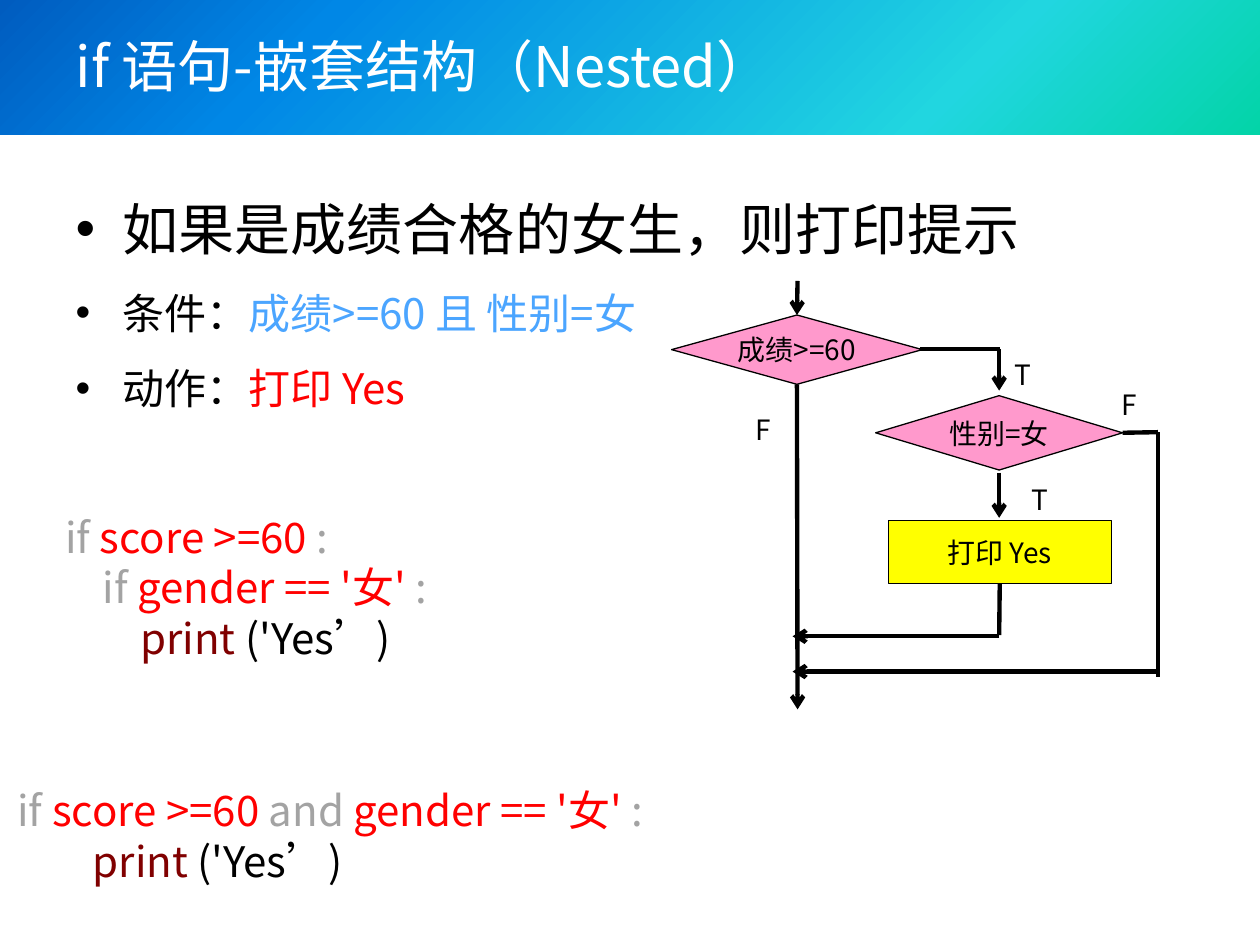
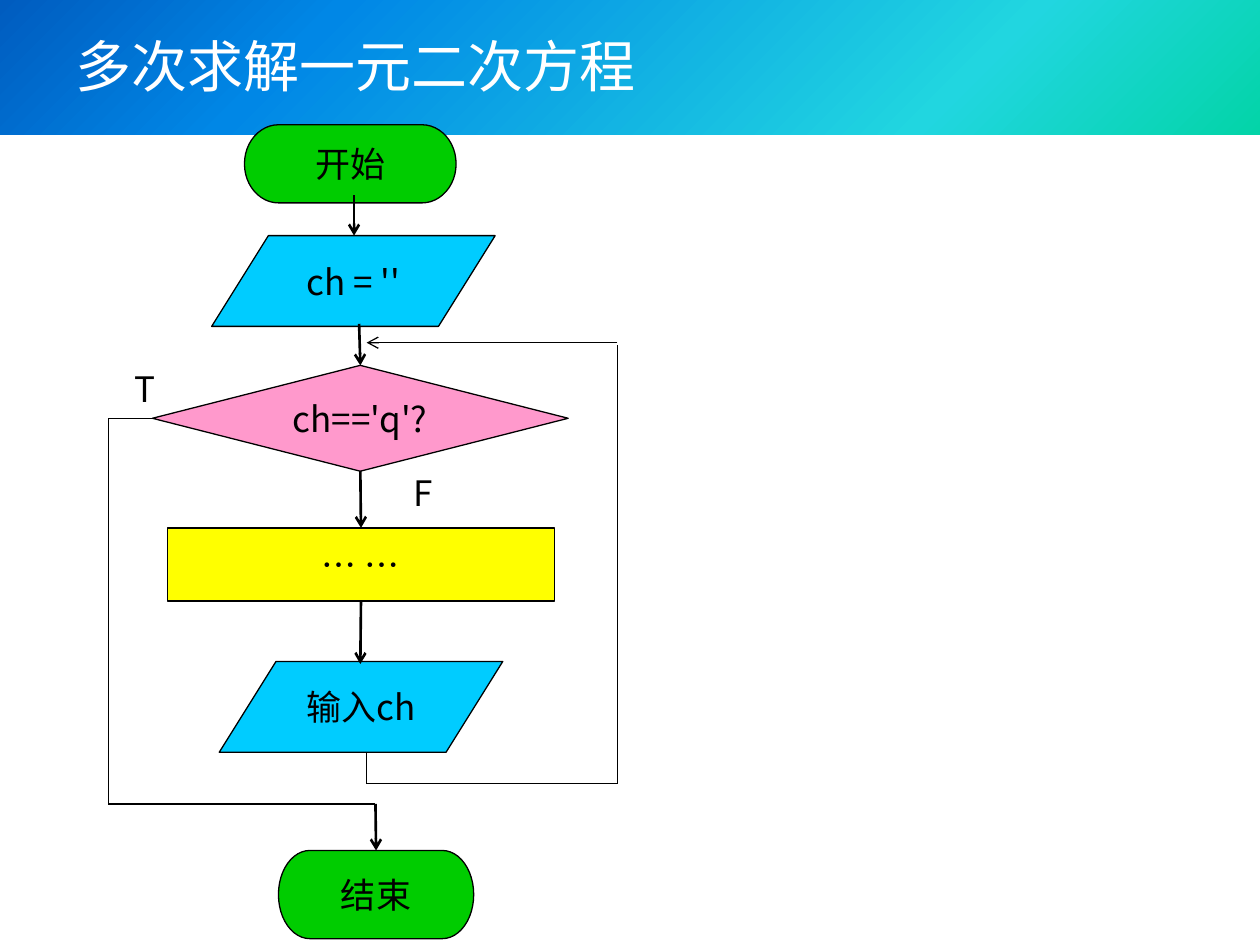
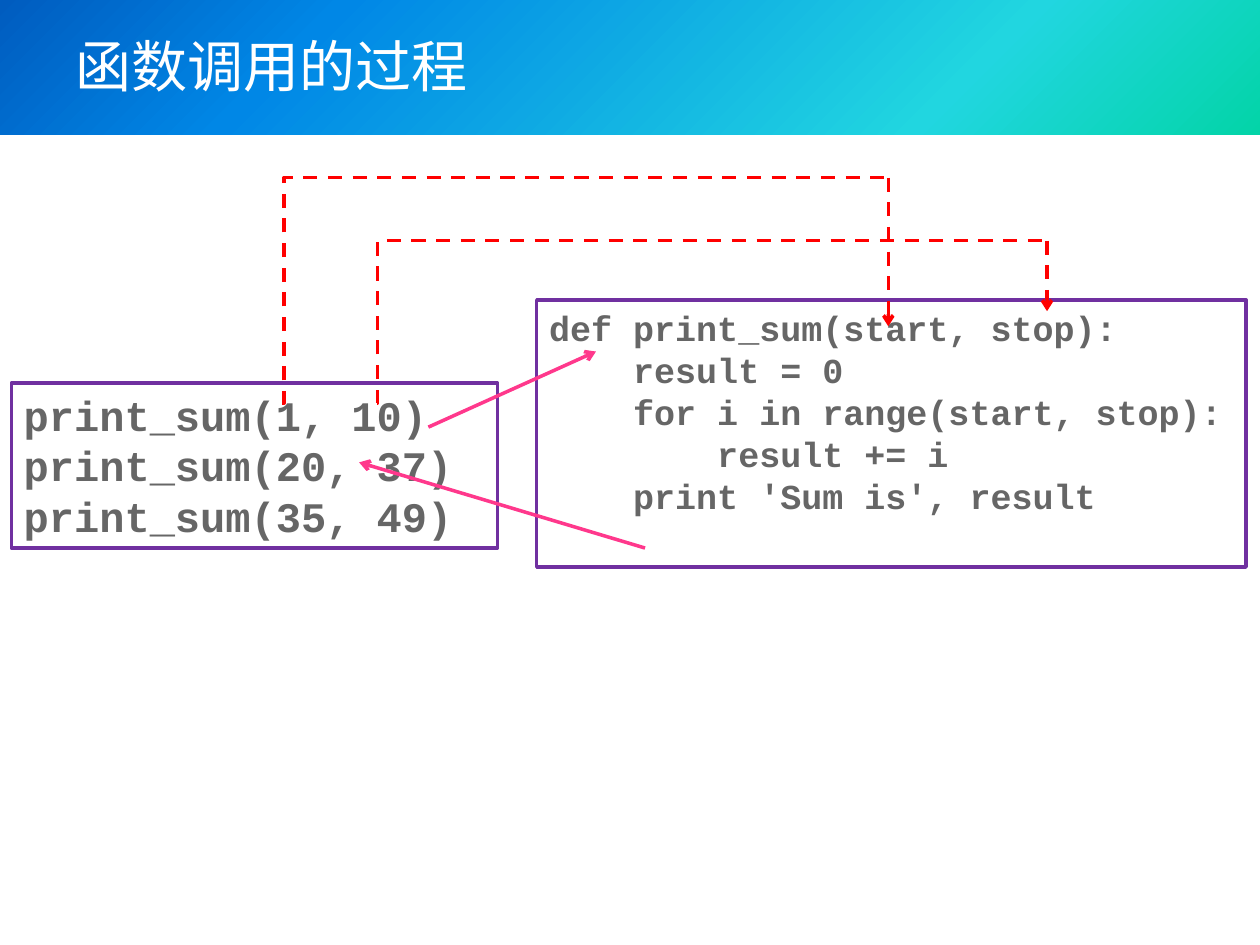
"""Build three slides on nested conditions, loops and function calls."""
from lxml.etree import SubElement
from pptx import Presentation
from pptx.dml.color import RGBColor
from pptx.enum.dml import MSO_LINE
from pptx.enum.shapes import MSO_CONNECTOR as Wire, MSO_SHAPE as Kind
from pptx.enum.text import MSO_ANCHOR as Anchor, MSO_AUTO_SIZE as Auto, PP_ALIGN as Align
from pptx.oxml import parse_xml
from pptx.oxml.ns import nsdecls, qn
from pptx.util import Inches, Pt

SANS, MONO = "Noto Sans CJK SC", "Courier New"
BLACK, WHITE, RED, GREY, BROWN = "000000", "FFFFFF", "FF0000", "A3A3A3", "800000"
PINK, YELLOW, GREEN, CYAN = "FF99CC", "FFFF00", "00CC00", "00CCFF"
BLUE, PURPLE, ROSE, SLATE = "4BA5FF", "7030A0", "FF388C", "666666"
STOPS = [(0, "03D4A8"), (25, "21D6E0"), (75, "0087E6"), (100, "005CBF")]


def write(shape, text, size=24, color=BLACK, face=SANS, bold=False, align=Align.LEFT,
          anchor=Anchor.TOP, wrap=True, inset=(0.1, 0.05, 0.1, 0.05), space=1.0):
    frame = shape.text_frame
    frame.auto_size, frame.word_wrap, frame.vertical_anchor = Auto.NONE, wrap, anchor
    (frame.margin_left, frame.margin_top,
     frame.margin_right, frame.margin_bottom) = map(Inches, inset)
    rows = text
    if isinstance(text, str):
        rows = [[(row, color)] for row in text.split("\n")]
    for i, row in enumerate(rows):
        para = frame.add_paragraph() if i else frame.paragraphs[0]
        para.alignment, para.line_spacing, para.space_before = align, space, Pt(0)
        for words, tint in row:
            run = para.add_run()
            run.text = words
            font = run.font
            font.size, font.bold, font.name = Pt(size), bold, face
            font.color.rgb = RGBColor.from_string(tint)
            SubElement(run._r.get_or_add_rPr(), qn("a:ea"), typeface=face)


def link(slide, start, end, width, color=BLACK, tail=False, dash=False,
         begin=None, stop=None, bend=None):
    kind = Wire.STRAIGHT if bend is None else Wire.ELBOW
    line = slide.shapes.add_connector(kind, *map(Inches, start + end))
    if begin:
        line.begin_connect(*begin)
    if stop:
        line.end_connect(*stop)
    line.line.color.rgb = RGBColor.from_string(color)
    line.line.width = Pt(width)
    if dash:
        line.line.dash_style = MSO_LINE.DASH
    props = line._element.spPr
    if tail:
        SubElement(props.find(qn("a:ln")), qn("a:tailEnd"), type="arrow")
    if bend is not None:
        SubElement(props.find(".//" + qn("a:avLst")), qn("a:gd"),
                   name="adj1", fmla=f"val {bend}")
    SubElement(props, qn("a:effectLst"))


prs = Presentation()
prs.slide_width, prs.slide_height = Inches(10), Inches(7.5)
titles = [(1, "if 语句-嵌套结构（Nested）"), (5, "多次求解一元二次方程"), (5, "函数调用的过程")]
for layout, title in titles:
    slide = prs.slides.add_slide(prs.slide_layouts[layout])
    head = slide.shapes.title
    head.left, head.top, head.width, head.height = map(Inches, (0.5, 0.13, 9, 0.77))
    write(head, title, size=32, color=WHITE, anchor=Anchor.MIDDLE)
nest, loop, call = prs.slides

band = nest.shapes.add_shape(Kind.RECTANGLE, 0, 0, prs.slide_width, Inches(1.07))
band.shadow.inherit = False
band.line.fill.background()
stops = "".join(f'<a:gs pos="{pos * 1000}"><a:srgbClr val="{tint}"/></a:gs>'
                for pos, tint in STOPS)
band._element.spPr.find(qn("a:prstGeom")).addnext(parse_xml(
    f'<a:gradFill {nsdecls("a")} rotWithShape="1"><a:gsLst>{stops}</a:gsLst>'
    '<a:path path="circle"><a:fillToRect l="100000" t="100000"/></a:path></a:gradFill>'))
prs.slide_master.shapes.element.insert(2, band._element)

body = nest.placeholders[1]
body.left, body.top, body.width, body.height = map(Inches, (0.5, 1.23, 9, 5.47))
write(body, [[("如果是成绩合格的女生，则打印提示", BLACK)],
             [("条件：", BLACK), ("成绩>=60 且 性别=女", BLUE)],
             [("动作：", BLACK), ("打印 Yes", RED)]], space=1.5)
body.text_frame.paragraphs[0].runs[0].font.size = Pt(32)

show = [(" " * 8, BLACK), ("print", BROWN), (" ('Yes’)", BLACK)]
codes = [
    ((0.42, 4.01, 4.9, 2.51),
     [[("if", GREY), (" score >=60 ", RED), (":", GREY)],
      [(" " * 4, BLACK), ("if", GREY), (" gender == '女' ", RED), (":", GREY)], show]),
    ((0.04, 6.18, 7.88, 1.07),
     [[("if", GREY), (" score >=60 ", RED), ("and ", GREY),
       ("gender == '女' ", RED), (":", GREY)], show]),
]
for place, rows in codes:
    write(nest.shapes.add_textbox(*map(Inches, place)), rows)

ask, ends, data, step = (Kind.FLOWCHART_DECISION, Kind.FLOWCHART_TERMINATOR,
                         Kind.FLOWCHART_DATA, Kind.RECTANGLE)
fills = {ask: PINK, ends: GREEN, data: CYAN, step: YELLOW}
nodes = [
    (nest, ask, "成绩>=60", 16, (5.33, 2.5, 1.99, 0.55)),
    (nest, ask, "性别=女", 16, (6.95, 3.14, 1.96, 0.59)),
    (nest, step, "打印 Yes", 16, (7.05, 4.13, 1.77, 0.5)),
    (loop, ends, "开始", 20, (1.94, 0.99, 1.68, 0.62)),
    (loop, data, "ch = ''", 20, (1.68, 1.87, 2.25, 0.72)),
    (loop, ask, "ch=='q'?", 20, (1.21, 2.9, 3.3, 0.84)),
    (loop, step, "… …", 20, (1.33, 4.19, 3.07, 0.58)),
    (loop, data, "输入ch", 20, (1.74, 5.25, 2.25, 0.72)),
    (loop, ends, "结束", 20, (2.21, 6.75, 1.55, 0.7)),
]
made = {}
for slide, kind, text, size, place in nodes:
    node = made[text] = slide.shapes.add_shape(kind, *map(Inches, place))
    node.shadow.inherit = False
    node.fill.solid()
    node.fill.fore_color.rgb = RGBColor.from_string(fills[kind])
    node.line.color.rgb = RGBColor.from_string(BLACK)
    node.line.width = Pt(0.75)
    write(node, text, size=size, align=Align.CENTER, anchor=Anchor.MIDDLE, wrap=False)

labels = [
    (nest, "F", 16, (5.83, 3.17, 0.46, 0.4)),
    (nest, "T", 16, (7.94, 2.66, 0.36, 0.56)),
    (nest, "T", 16, (8.02, 3.65, 0.46, 0.56)),
    (nest, "F", 16, (8.73, 2.89, 0.46, 0.56)),
    (loop, "T", 20, (0.77, 2.8, 0.76, 0.49)),
    (loop, "F", 20, (2.98, 3.63, 0.76, 0.49)),
]
for slide, text, size, place in labels:
    write(slide.shapes.add_textbox(*map(Inches, place)), text, size=size,
          align=Align.CENTER, anchor=Anchor.MIDDLE, inset=(0.02, 0.08, 0.02, 0.01))

score, sex, yes = made["成绩>=60"], made["性别=女"], made["打印 Yes"]
quit, work = made["ch=='q'?"], made["… …"]
wires = [
    (nest, (6.33, 2.23), (6.33, 2.5), 2.5, True, None, (score, 0)),
    (nest, (7.3, 2.77), (7.94, 2.77), 2.5, False, None, None),
    (nest, (7.93, 2.77), (7.93, 3.1), 2.5, True, None, None),
    (nest, (7.93, 3.75), (7.93, 4.11), 2.5, True, None, None),
    (nest, (7.93, 4.63), (7.93, 5.04), 2.5, False, (yes, 2), None),
    (nest, (7.93, 5.05), (6.29, 5.05), 2.5, True, None, None),
    (nest, (8.91, 3.44), (9.19, 3.43), 2.5, False, (sex, 3), None),
    (nest, (9.19, 3.43), (9.19, 5.37), 2.5, False, None, None),
    (nest, (9.19, 5.33), (6.29, 5.33), 2.5, True, None, None),
    (nest, (6.33, 3.05), (6.33, 5.63), 2.5, True, (score, 2), None),
    (loop, (2.81, 1.55), (2.81, 1.87), 1.5, True, None, None),
    (loop, (2.85, 2.57), (2.85, 2.9), 1.5, True, None, (quit, 0)),
    (loop, (2.86, 3.74), (2.86, 4.19), 1.5, True, (quit, 2), (work, 0)),
    (loop, (2.86, 4.77), (2.86, 5.27), 1.5, True, (work, 2), None),
    (loop, (1.21, 3.32), (0.86, 3.32), 0.75, False, (quit, 1), None),
    (loop, (0.86, 3.32), (0.86, 6.38), 0.75, False, None, None),
    (loop, (0.86, 6.38), (2.98, 6.38), 0.75, False, None, None),
    (loop, (2.98, 6.38), (2.98, 6.75), 1.5, True, None, (made["结束"], 0)),
    (loop, (2.91, 5.97), (2.91, 6.22), 0.75, False, None, None),
    (loop, (2.91, 6.22), (4.9, 6.22), 0.75, False, None, None),
    (loop, (4.9, 6.22), (4.9, 2.74), 0.75, False, None, None),
    (loop, (4.9, 2.72), (2.91, 2.72), 0.75, True, None, None),
]
for slide, start, end, width, tail, begin, stop in wires:
    link(slide, start, end, width, tail=tail, begin=begin, stop=stop)

uses = """print_sum(1, 10)
print_sum(20, 37)
print_sum(35, 49)"""
defs = """def print_sum(start, stop):
    result = 0
    for i in range(start, stop):
        result += i
    print 'Sum is', result"""
for text, size, place in [(uses, 24, (0.09, 3.04, 3.86, 1.31)),
                          (defs, 20, (4.26, 2.38, 5.63, 2.12))]:
    box = call.shapes.add_shape(step, *map(Inches, place))
    box.shadow.inherit = False
    box.fill.background()
    box.line.color.rgb = RGBColor.from_string(PURPLE)
    box.line.width = Pt(2)
    write(box, text, size=size, color=SLATE, face=MONO, bold=True)

for start, end in [((3.4, 3.39), (4.73, 2.79)), ((5.12, 4.35), (2.85, 3.67))]:
    link(call, start, end, 2, color=ROSE, tail=True)
for start, turn, tip, bend in [((2.24, 3.2), (7.05, 1.41), (7.05, 2.59), 300),
                               ((2.99, 3.2), (8.31, 1.91), (8.31, 2.47), 100)]:
    link(call, start, turn, 2, color=RED, dash=True, bend=bend)
    link(call, turn, tip, 2, color=RED, dash=True, tail=True)

prs.save("out.pptx")
